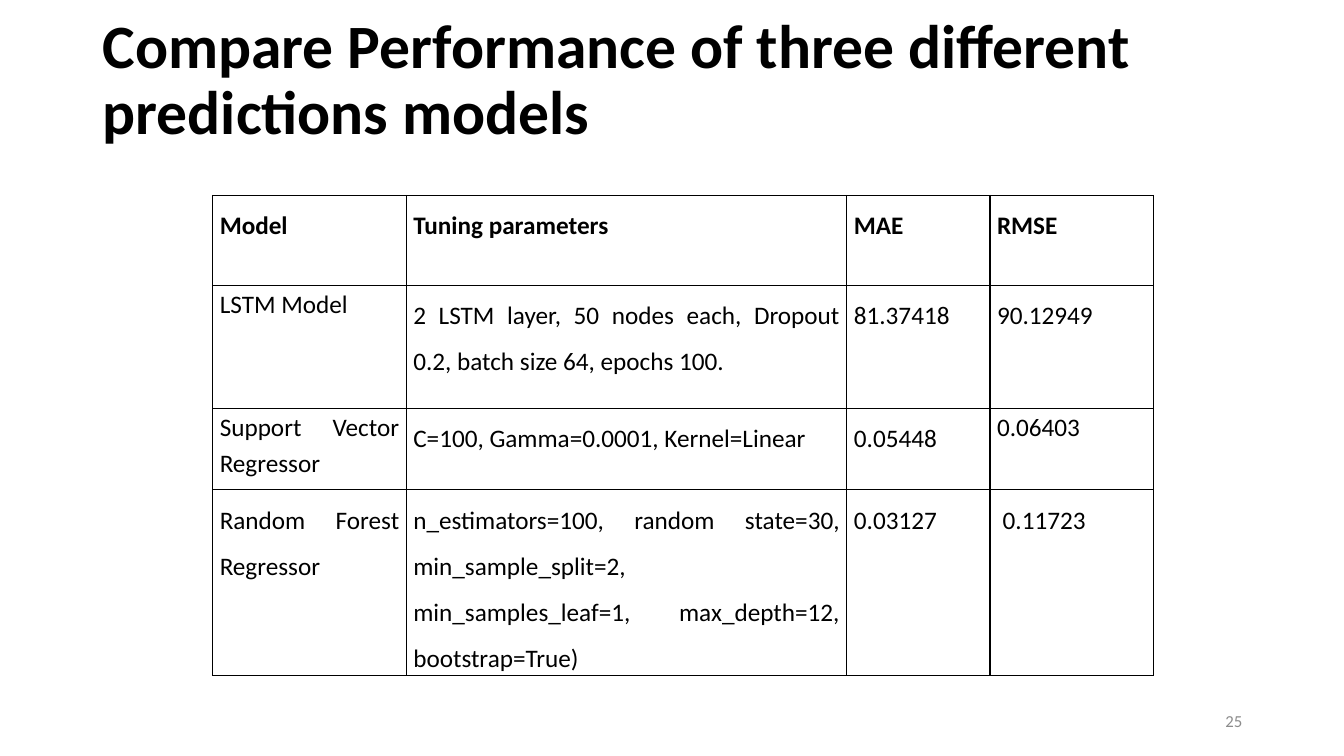
from lxml import etree
from pptx import Presentation
from pptx.dml.color import RGBColor
from pptx.enum.text import MSO_ANCHOR, PP_ALIGN
from pptx.oxml.ns import qn
from pptx.util import Inches, Pt

LEFT, RIGHT, JUSTIFY = PP_ALIGN.LEFT, PP_ALIGN.RIGHT, PP_ALIGN.JUSTIFY
TOP, MIDDLE = MSO_ANCHOR.TOP, MSO_ANCHOR.MIDDLE
COLORS = {"ink": "000000", "gray": "8C8C8C", "page": "FFFFFF"}
FONT = "Calibri"


def style(para, size, color, bold=False, align=LEFT, spacing=1.0):
    para.alignment = align
    para.line_spacing = spacing
    for run in para.runs:
        font = run.font
        font.name, font.size, font.bold = FONT, Pt(size), bold
        font.color.rgb = RGBColor.from_string(COLORS[color])


def add_borders(cell):
    props = cell._tc.get_or_add_tcPr()
    for i, side in enumerate(("a:lnL", "a:lnR", "a:lnT", "a:lnB")):
        line = etree.Element(qn(side), w=str(Pt(1)))
        fill = etree.SubElement(line, qn("a:solidFill"))
        etree.SubElement(fill, qn("a:srgbClr"), val=COLORS["ink"])
        props.insert(i, line)


prs = Presentation()
prs.slide_width, prs.slide_height = Inches(13.33), Inches(7.5)
slide = prs.slides.add_slide(prs.slide_layouts[6])
slide.background.fill.solid()
slide.background.fill.fore_color.rgb = RGBColor.from_string(COLORS["page"])

# Title
title = slide.shapes.add_textbox(Inches(0.92), Inches(0.15), Inches(11.5), Inches(1.4))
frame = title.text_frame
frame.word_wrap = True
frame.vertical_anchor = TOP
frame.margin_top = 0
frame.text = "Compare Performance of three different predictions models"
style(frame.paragraphs[0], 44, "ink", bold=True, spacing=0.9)

# Model table
rows = [
    ("Model", "Tuning parameters", "MAE", "RMSE"),
    ("LSTM Model",
     "2 LSTM layer, 50 nodes each, Dropout 0.2, batch size 64, epochs 100.",
     "81.37418", "90.12949"),
    ("Support Vector Regressor", "C=100, Gamma=0.0001, Kernel=Linear",
     "0.05448", "0.06403"),
    ("Random Forest Regressor",
     "n_estimators=100, random state=30, min_sample_split=2, "
     "min_samples_leaf=1, max_depth=12, bootstrap=True)",
     "0.03127", " 0.11723"),
]
widths = [1.92, 4.37, 1.42, 1.62]
heights = [0.89, 1.22, 0.81, 1.84]
tight = {(1, 0), (2, 0), (2, 3)}  # cells with closer lines

table = slide.shapes.add_table(
    len(rows), len(widths), Inches(2.11), Inches(1.94),
    Inches(sum(widths)), Inches(sum(heights))).table
table.horz_banding = False
for col, width in zip(table.columns, widths):
    col.width = Inches(width)
for r, (texts, height) in enumerate(zip(rows, heights)):
    table.rows[r].height = Inches(height)
    for c, text in enumerate(texts):
        cell = table.cell(r, c)
        cell.margin_left = cell.margin_right = Inches(0.07)
        cell.margin_top = cell.margin_bottom = 0
        cell.fill.background()
        add_borders(cell)
        cell.text_frame.text = text
        para = cell.text_frame.paragraphs[0]
        para.space_after = Pt(18)
        style(para, 18, "ink", bold=r == 0, align=JUSTIFY,
              spacing=1.15 if (r, c) in tight else 1.5)

# Slide number
number = slide.shapes.add_textbox(Inches(9.42), Inches(6.95), Inches(3), Inches(0.4))
frame = number.text_frame
frame.word_wrap = True
frame.vertical_anchor = MIDDLE
frame.text = "25"
style(frame.paragraphs[0], 12, "gray", align=RIGHT)

prs.save("out.pptx")
